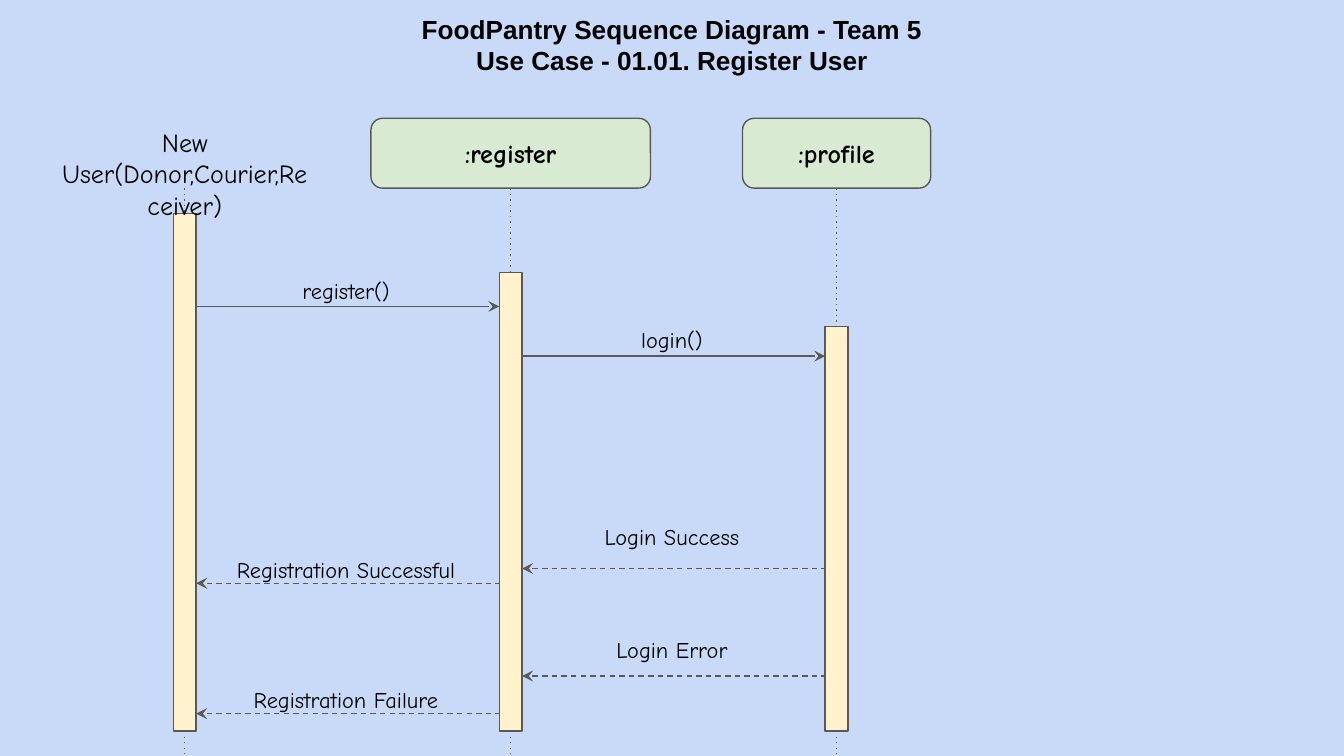
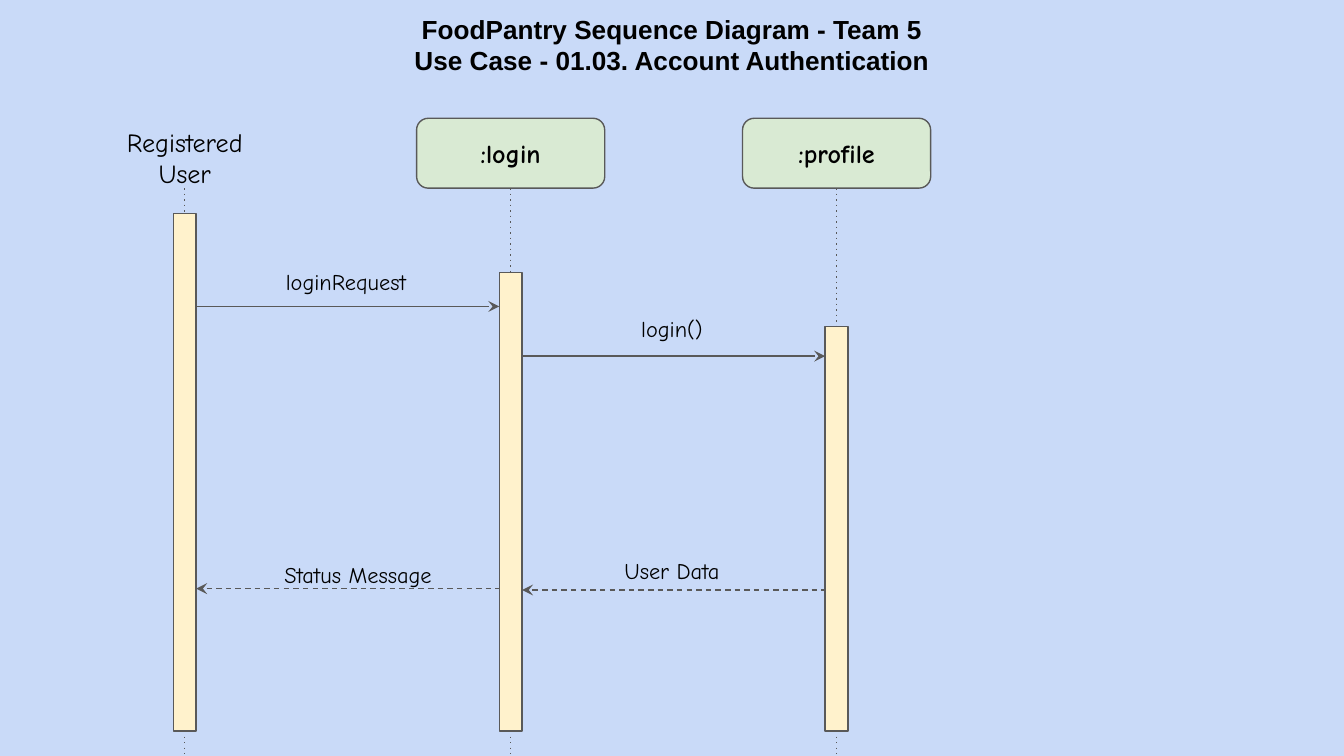
from dataclasses import dataclass

from lxml.etree import SubElement
from pptx import Presentation
from pptx.dml.color import RGBColor
from pptx.enum.shapes import MSO_CONNECTOR, MSO_SHAPE
from pptx.enum.text import MSO_ANCHOR, MSO_AUTO_SIZE, PP_ALIGN
from pptx.oxml.ns import qn
from pptx.util import Inches, Pt


@dataclass(frozen=True)
class Theme:
    background: str = "C9DAF8"
    participant: str = "D9EAD3"
    activation: str = "FFF2CC"
    outline: str = "595959"
    ink: str = "000000"
    title_font: str = "Arial"
    body_font: str = "Comic Neue"
    heading_size: float = 14
    label_size: float = 12
    line_width: float = 0.75


# The grid divides the slide into cells; every length below counts cells
COLUMNS, ROWS = 100, 56.25
LANE_CENTERS = [13.75 + 24.25 * lane for lane in range(3)]
ACTIVATION_TOPS = [15.9, 20.3, 24.3]
ACTIVATION_BOTTOM, ACTIVATION_WIDTH = 54.4, 1.7
HEAD_TOP, HEAD_HEIGHT, HEAD_WIDTH = 8.8, 5.2, 14
ACTOR_TOP = 8.4
LABEL_WIDTH, LABEL_HEIGHT = 22.3, 3.3


def write_text(frame, text, *, size, color, font, bold=False, anchor=MSO_ANCHOR.MIDDLE):
    frame.word_wrap = True
    frame.auto_size = MSO_AUTO_SIZE.NONE
    frame.vertical_anchor = anchor
    frame.margin_left = frame.margin_right = Inches(0.1)
    frame.margin_top = frame.margin_bottom = Inches(0.1)
    for index, words in enumerate(text.split("\n")):
        paragraph = frame.add_paragraph() if index else frame.paragraphs[0]
        paragraph.alignment = PP_ALIGN.CENTER
        run = paragraph.add_run()
        run.text = words
        run.font.name = font
        run.font.size = Pt(size)
        run.font.bold = bold
        run.font.color.rgb = RGBColor.from_string(color)


class SequenceDiagram:
    """Holds the style and the slide being drawn."""

    def __init__(self, presentation, theme):
        self.presentation = presentation
        self.theme = theme
        self.slide = None
        self.activations = []
        fill = presentation.slide_master.background.fill
        fill.solid()
        fill.fore_color.rgb = RGBColor.from_string(theme.background)

    def across(self, columns):
        return round(self.presentation.slide_width * columns / COLUMNS)

    def down(self, rows):
        return round(self.presentation.slide_height * rows / ROWS)

    def area(self, left, top, width, height):
        return self.across(left), self.down(top), self.across(width), self.down(height)

    def start(self, title):
        self.slide = self.presentation.slides.add_slide(self.presentation.slide_layouts[5])
        shape = self.slide.shapes.title
        shape.left, shape.top, shape.width, shape.height = self.area(0, 0, COLUMNS, 6.1)
        write_text(shape.text_frame, title, size=self.theme.heading_size, bold=True,
                   color=self.theme.ink, font=self.theme.title_font, anchor=MSO_ANCHOR.TOP)

    def box(self, kind, fill, *place):
        shape = self.slide.shapes.add_shape(kind, *self.area(*place))
        shape.shadow.inherit = False
        shape.fill.solid()
        shape.fill.fore_color.rgb = RGBColor.from_string(fill)
        shape.line.color.rgb = RGBColor.from_string(self.theme.outline)
        shape.line.width = Pt(self.theme.line_width)
        return shape

    def text(self, words, size, *place, anchor=MSO_ANCHOR.MIDDLE):
        shape = self.slide.shapes.add_textbox(*self.area(*place))
        write_text(shape.text_frame, words, size=size, color=self.theme.ink,
                   font=self.theme.body_font, anchor=anchor)

    def line(self, start, end, dash="solid", arrow=None):
        connector = self.slide.shapes.add_connector(
            MSO_CONNECTOR.STRAIGHT, self.across(start[0]), self.down(start[1]),
            self.across(end[0]), self.down(end[1]))
        connector.line.color.rgb = RGBColor.from_string(self.theme.outline)
        connector.line.width = Pt(self.theme.line_width)
        properties = connector._element.spPr
        outline = properties.find(qn("a:ln"))
        SubElement(outline, qn("a:prstDash"), val=dash)
        if arrow:
            SubElement(outline, qn(f"a:{arrow}"), type="stealth")
        SubElement(properties, qn("a:effectLst"))
        return connector

    def participant(self, name, lane, width):
        shape = self.box(MSO_SHAPE.ROUNDED_RECTANGLE, self.theme.participant,
                         LANE_CENTERS[lane] - width / 2, HEAD_TOP, width, HEAD_HEIGHT)
        write_text(shape.text_frame, name, size=self.theme.heading_size, bold=True,
                   color=self.theme.ink, font=self.theme.body_font)
        return shape

    def actor(self, name, width):
        self.text(name, self.theme.heading_size, LANE_CENTERS[0] - width / 2, ACTOR_TOP,
                  width, LABEL_HEIGHT, anchor=MSO_ANCHOR.TOP)

    def lifeline(self, lane, head=None):
        center, top = LANE_CENTERS[lane], ACTIVATION_TOPS[lane]
        bar = self.box(MSO_SHAPE.RECTANGLE, self.theme.activation,
                       center - ACTIVATION_WIDTH / 2, top,
                       ACTIVATION_WIDTH, ACTIVATION_BOTTOM - top)
        above = self.line((center, HEAD_TOP + HEAD_HEIGHT), (center, top), "dot")
        if head is not None:
            above.begin_connect(head, 2)
        above.end_connect(bar, 0)
        below = self.line((center, ACTIVATION_BOTTOM), (center, ROWS), "dot")
        below.begin_connect(bar, 2)

    def message(self, words, lane, row, label_top, reply=False, shift=0):
        """Links a lane with the next one; a reply points back to the left."""
        left = LANE_CENTERS[lane] + ACTIVATION_WIDTH / 2
        right = LANE_CENTERS[lane + 1] - ACTIVATION_WIDTH / 2
        self.line((left, row), (right, row), "dash" if reply else "solid",
                  "headEnd" if reply else "tailEnd")
        self.text(words, self.theme.label_size, left + shift, label_top,
                  LABEL_WIDTH, LABEL_HEIGHT)

    def draw(self, title, actor, participants, messages):
        self.start(title)
        heads = [self.participant(name, lane, width)
                 for lane, (name, width) in enumerate(participants, 1)]
        for lane, head in enumerate([None, *heads]):
            self.lifeline(lane, head)
        self.actor(*actor)
        for message in messages:
            self.message(*message)


def main():
    presentation = Presentation()
    presentation.slide_width, presentation.slide_height = Inches(10), Inches(5.625)
    diagram = SequenceDiagram(presentation, Theme())

    # Register user
    diagram.draw(
        "FoodPantry Sequence Diagram - Team 5\nUse Case - 01.01. Register User",
        ("New User(Donor,Courier,Receiver)", 20.8),
        [(":register", 20.8), (":profile", HEAD_WIDTH)],
        [("register()", 0, 22.8, 20),
         ("login()", 1, 26.5, 23.6),
         ("Login Success", 1, 42.3, 38.3, True),
         ("Registration Successful", 0, 43.4, 40.7, True),
         ("Login Error", 1, 50.3, 46.7, True),
         ("Registration Failure", 0, 53.1, 50.4, True)])

    # Account authentication
    diagram.draw(
        "FoodPantry Sequence Diagram - Team 5\nUse Case - 01.03. Account Authentication",
        ("Registered User", 12.4),
        [(":login", HEAD_WIDTH), (":profile", HEAD_WIDTH)],
        [("loginRequest", 0, 22.8, 19.3),
         ("login()", 1, 26.5, 22.8),
         ("User Data", 1, 43.9, 40.8, True),
         ("Status Message", 0, 43.8, 41.1, True, 0.9)])

    presentation.save("out.pptx")


if __name__ == "__main__":
    main()
